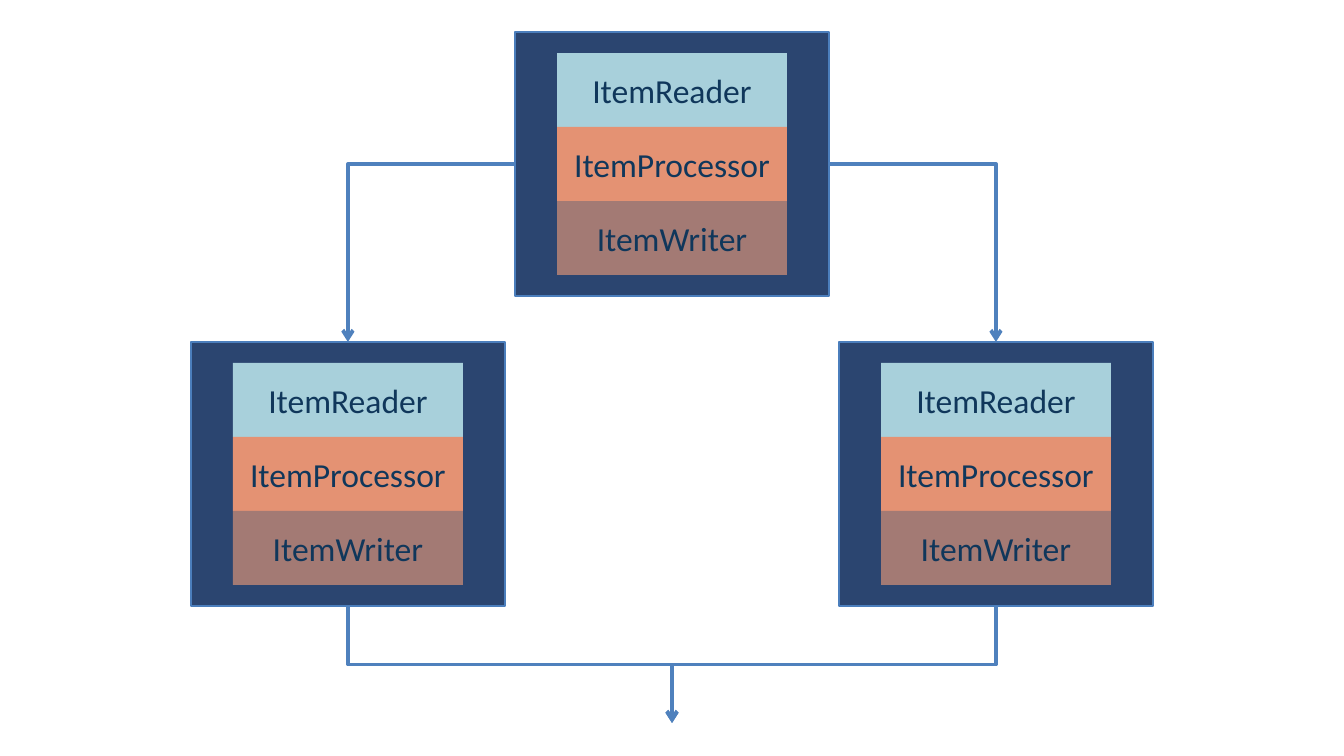
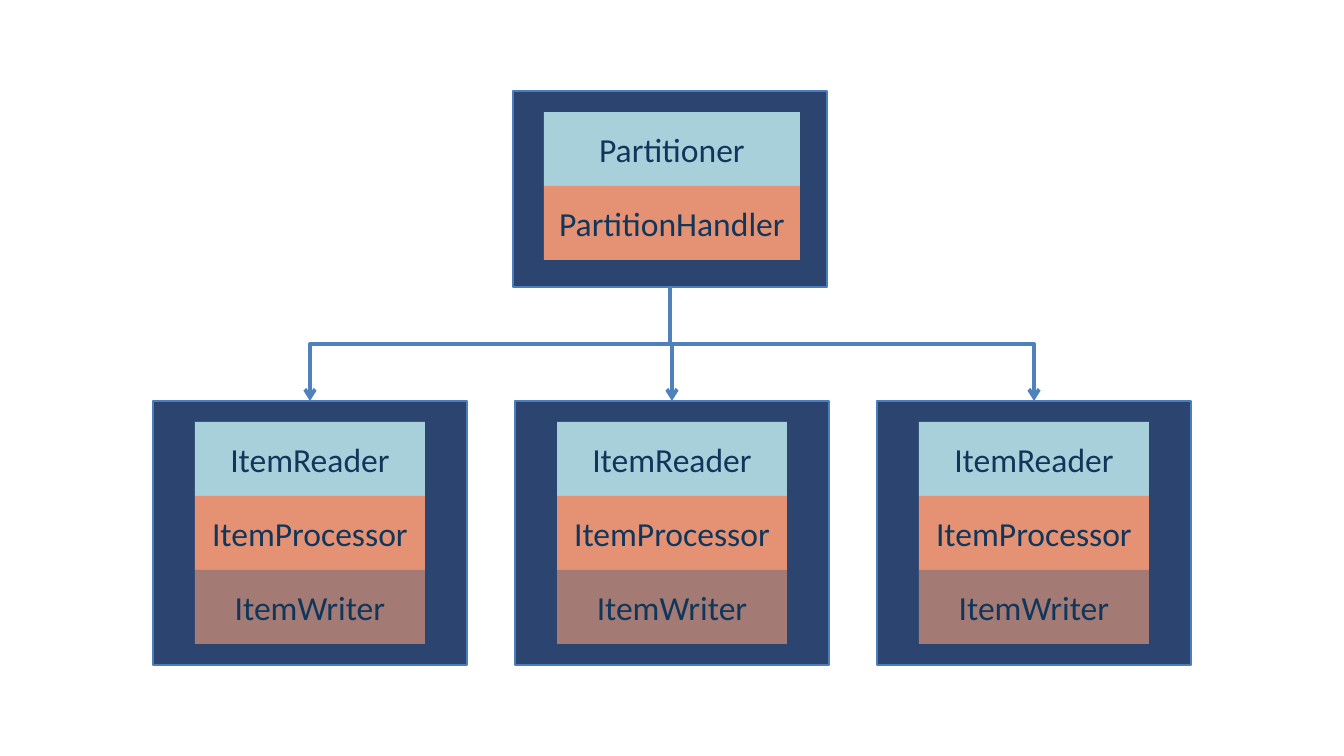
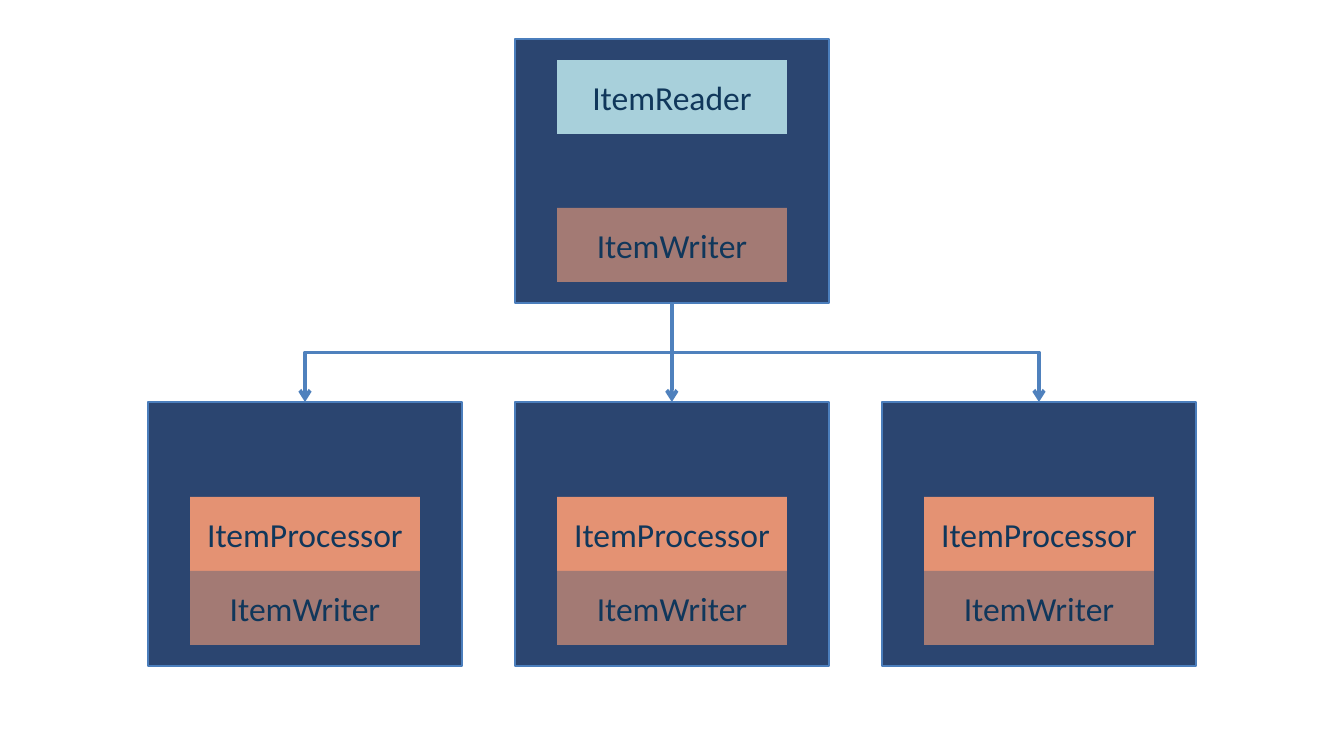
"""Build three slides showing parallel, partitioned and remotely chunked batch steps."""
import pptx
import pptx.dml.color
import pptx.enum.shapes
import pptx.enum.text
import pptx.oxml
import pptx.oxml.ns
import pptx.util

SLIDE_WIDTH, SLIDE_HEIGHT = 1344, 756
CENTRE = SLIDE_WIDTH // 2
STEP_WIDTH, STEP_HEIGHT = 314, 264
LAYER_WIDTH, LAYER_HEIGHT = 230, 74
LAYER_INSET = 21
STEP_FILL, STEP_LINE = "2B4570", "4B7EBC"
LAYER_FILLS = ("A8D0DB", "E49273", "A37A74")
LABEL_COLOUR, FLOW_COLOUR = "10375B", "4F81BD"
FULL_STEP = ("ItemReader", "ItemProcessor", "ItemWriter")
CHUNK_MANAGER = ("ItemReader", None, "ItemWriter")
CHUNK_WORKER = (None, "ItemProcessor", "ItemWriter")
PARTITION_MANAGER = ("Partitioner", "PartitionHandler")


def px(length):
    return pptx.util.Emu(round(length * 914400 / 134.4))


def colour(value):
    return pptx.dml.color.RGBColor.from_string(value)


class Diagram:
    def __init__(self):
        self.deck = pptx.Presentation()
        self.deck.slide_width = px(SLIDE_WIDTH)
        self.deck.slide_height = px(SLIDE_HEIGHT)
        self.slide = None

    def new_slide(self):
        self.slide = self.deck.slides.add_slide(self.deck.slide_layouts[6])

    def block(self, left, top, width, height, fill):
        block = self.slide.shapes.add_shape(
            pptx.enum.shapes.MSO_SHAPE.RECTANGLE, px(left), px(top), px(width), px(height))
        block.shadow.inherit = False
        block.fill.solid()
        block.fill.fore_color.rgb = colour(fill)
        block.line.fill.background()
        return block

    def layer(self, centre, top, width, label, fill):
        layer = self.block(centre - width / 2, top, width, LAYER_HEIGHT, fill)
        frame = layer.text_frame
        frame.text = label
        frame.vertical_anchor = pptx.enum.text.MSO_ANCHOR.MIDDLE
        paragraph = frame.paragraphs[0]
        paragraph.alignment = pptx.enum.text.PP_ALIGN.CENTER
        font = paragraph.runs[0].font
        font.name = "Calibri"
        font.size = pptx.util.Pt(18)
        font.color.rgb = colour(LABEL_COLOUR)

    def step(self, centre, top, labels, height=STEP_HEIGHT, layer_width=LAYER_WIDTH, layer_shift=0):
        step = self.block(centre - STEP_WIDTH / 2, top, STEP_WIDTH, height, STEP_FILL)
        step.line.color.rgb = colour(STEP_LINE)
        step.line.width = pptx.util.Pt(0.75)
        for row, (label, fill) in enumerate(zip(labels, LAYER_FILLS)):
            if label:
                layer_top = top + LAYER_INSET + row * LAYER_HEIGHT
                self.layer(centre + layer_shift, layer_top, layer_width, label, fill)

    def flow(self, start_x, start_y, end_x, end_y):
        flow = self.slide.shapes.add_connector(
            pptx.enum.shapes.MSO_CONNECTOR.ELBOW, px(start_x), px(start_y), px(end_x), px(end_y))
        flow.line.color.rgb = colour(FLOW_COLOUR)
        flow.line.width = pptx.util.Pt(2)
        properties = flow.element.spPr
        arrowhead = pptx.oxml.parse_xml(
            f'<a:tailEnd {pptx.oxml.ns.nsdecls("a")} type="arrow"/>')
        properties.find(pptx.oxml.ns.qn("a:ln")).append(arrowhead)
        properties.append(pptx.oxml.parse_xml(f'<a:effectLst {pptx.oxml.ns.nsdecls("a")}/>'))
        return properties

    def corner_flow(self, start_x, start_y, end_x, end_y):
        properties = self.flow(start_x, start_y, end_x, end_y)
        properties.find(pptx.oxml.ns.qn("a:prstGeom")).set("prst", "bentConnector2")

    def down_flow(self, start_x, start_y, end_x, end_y):
        middle_x, middle_y = (start_x + end_x) / 2, (start_y + end_y) / 2
        half_drop, half_run = (end_y - start_y) / 2, abs(end_x - start_x) / 2
        heading = 1 if end_x < start_x else -1
        properties = self.flow(
            middle_x - heading * half_drop, middle_y - half_run,
            middle_x + heading * half_drop, middle_y + half_run)
        turn = 90 if heading == 1 else 270
        properties.find(pptx.oxml.ns.qn("a:xfrm")).set("rot", str(turn * 60000))

    def workers(self, top, spacing, labels, manager_x, manager_bottom):
        centres = [CENTRE + column * spacing for column in (-1, 0, 1)]
        for centre in centres:
            self.step(centre, top, labels)
        for centre in centres:
            self.down_flow(manager_x, manager_bottom, centre, top)


def parallel_steps(diagram):
    diagram.new_slide()
    first_top, split_top, spacing, join_y = 32, 342, 324, 723
    diagram.step(CENTRE, first_top, FULL_STEP)
    for side in (1, -1):
        diagram.step(CENTRE + side * spacing, split_top, FULL_STEP)
    for side in (1, -1):
        diagram.corner_flow(CENTRE + side * STEP_WIDTH / 2, first_top + STEP_HEIGHT / 2,
                            CENTRE + side * spacing, split_top)
    for side in (-1, 1):
        diagram.down_flow(CENTRE + side * spacing, split_top + STEP_HEIGHT, CENTRE, join_y)


def partitioned_step(diagram):
    diagram.new_slide()
    manager_x, manager_top, manager_height = 670, 91, 196
    diagram.step(manager_x, manager_top, PARTITION_MANAGER, manager_height,
                 layer_width=256, layer_shift=CENTRE - manager_x)
    diagram.workers(401, 362, FULL_STEP, manager_x, manager_top + manager_height)


def remote_chunking(diagram):
    diagram.new_slide()
    manager_top = 39
    diagram.step(CENTRE, manager_top, CHUNK_MANAGER)
    diagram.workers(402, 367, CHUNK_WORKER, CENTRE, manager_top + STEP_HEIGHT)


def main():
    diagram = Diagram()
    parallel_steps(diagram)
    partitioned_step(diagram)
    remote_chunking(diagram)
    diagram.deck.save("out.pptx")


if __name__ == "__main__":
    main()
